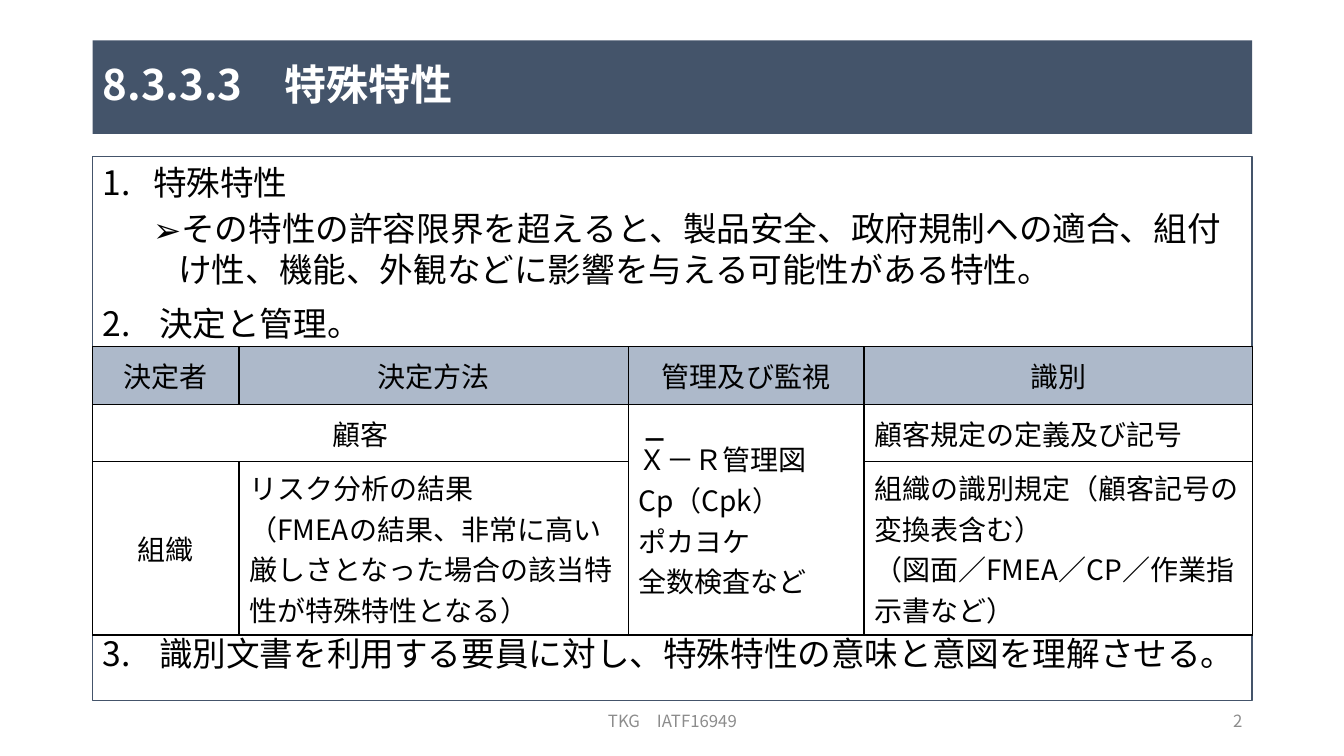
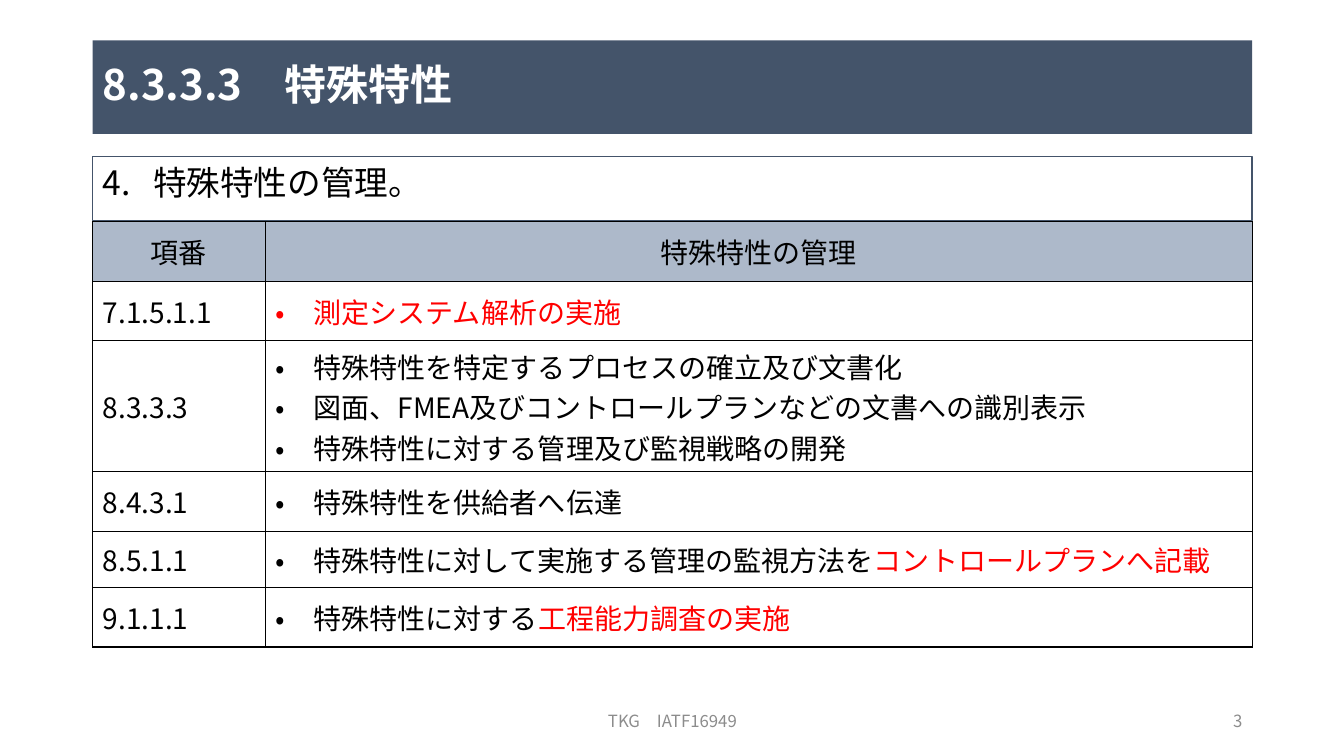
from dataclasses import dataclass
from lxml import etree
from pptx import Presentation
from pptx.dml.color import RGBColor as Rgb
from pptx.enum.shapes import MSO_SHAPE as Kind
from pptx.enum.text import MSO_ANCHOR as Anchor, PP_ALIGN as Align
from pptx.oxml.ns import qn
from pptx.util import Inches, Pt


@dataclass(frozen=True)
class Theme:
    font: str = "Noto Sans CJK JP"
    navy: str = "44546A"
    head: str = "ADB9CA"
    white: str = "FFFFFF"
    black: str = "000000"
    red: str = "FF0000"
    gray: str = "8C8C8C"
    title: int = 30
    body: int = 24
    cell: int = 20
    bar: int = 18
    foot: int = 12


T = Theme()
LEFT, WIDE = 0.92, 11.5
TITLE = "8.3.3.3　特殊特性"
FOOT = "TKG　IATF16949"

SLIDES = [
    {
        "number": 2,
        "height": 5.4,
        "start": 1,
        "items": [
            (0, 0.5, 0.5, 0, "", "特殊特性"),
            (1, 0.75, 0.25, 4, "➢", "その特性の許容限界を超えると、製品安全、政府規制への適合、"
             "組付け性、機能、外観などに影響を与える可能性がある特性。"),
            (0, 0.56, 0.56, 10, "", "決定と管理。"),
            (0, 0.56, 0.56, 207, "", "識別文書を利用する要員に対し、特殊特性の意味と意図を理解させる。"),
        ],
        "top": 3.44,
        "cols": [1.45, 3.86, 2.34, 3.85],
        "rows": [0.57, 0.57, 1.72],
        "cells": [
            ["決定者", "決定方法", "管理及び監視", "識別"],
            ["顧客", None, "Ｘ－Ｒ管理図\nCp（Cpk）\nポカヨケ\n全数検査など", "顧客規定の定義及び記号"],
            ["組織", "リスク分析の結果\n（FMEAの結果、非常に高い厳しさとなった場合の該当特性が特殊特性となる）",
             None, "組織の識別規定（顧客記号の変換表含む）\n（図面／FMEA／CP／作業指示書など）"],
        ],
        "merge": [((1, 0), (1, 1)), ((1, 2), (2, 2))],
        "center": [0],
        "dots": [],
        "bar": (6.27, 4.29, 0.4, 0.14),
    },
    {
        "number": 3,
        "height": 0.64,
        "start": 4,
        "items": [(0, 0.5, 0.5, 0, "", "特殊特性の管理。")],
        "top": 2.2,
        "cols": [1.71, 9.79],
        "rows": [0.59, 0.59, 1.3, 0.59, 0.56, 0.59],
        "cells": [
            ["項番", "特殊特性の管理"],
            ["7.1.5.1.1", "|測定システム解析の実施"],
            ["8.3.3.3", "特殊特性を特定するプロセスの確立及び文書化\n"
             "図面、FMEA及びコントロールプランなどの文書への識別表示\n"
             "特殊特性に対する管理及び監視戦略の開発"],
            ["8.4.3.1", "特殊特性を供給者へ伝達"],
            ["8.5.1.1", "特殊特性に対して実施する管理の監視方法を|コントロールプランへ記載"],
            ["9.1.1.1", "特殊特性に対する|工程能力調査の実施"],
        ],
        "merge": [],
        "center": [],
        "dots": [1],
        "bar": None,
    },
]


def style(run, size, color, bold=False):
    font = run.font
    font.size, font.bold, font.name = Pt(size), bold, T.font
    font.color.rgb = Rgb.from_string(color)
    east = etree.Element(qn("a:ea"), typeface=T.font)
    font._element.find(qn("a:latin")).addnext(east)


def write(para, text, size, color, bold=False, align=Align.LEFT):
    para.alignment = align
    for part, tone in zip(text.split("|"), (color, T.red)):
        if part:
            run = para.add_run()
            run.text = part
            style(run, size, tone, bold)


def mark(para, left, hang, char="", start=1):
    props = para._p.get_or_add_pPr()
    props.set("marL", str(Inches(left)))
    props.set("indent", str(-Inches(hang)))
    etree.SubElement(props, qn("a:buFont"), typeface=T.font)
    if char:
        etree.SubElement(props, qn("a:buChar"), char=char)
    else:
        num = etree.SubElement(props, qn("a:buAutoNum"), type="arabicPeriod")
        if start > 1:
            num.set("startAt", str(start))


def paras(frame, count):
    return [frame.paragraphs[0]] + [frame.add_paragraph() for _ in range(count - 1)]


def panel(slide, box, fill=None, line=None):
    shape = slide.shapes.add_shape(Kind.RECTANGLE, *map(Inches, box))
    shape.shadow.inherit = False
    if fill:
        shape.fill.solid()
        shape.fill.fore_color.rgb = Rgb.from_string(fill)
    else:
        shape.fill.background()
    if line:
        shape.line.color.rgb = Rgb.from_string(line)
        shape.line.width = Pt(1)
    else:
        shape.line.fill.background()
    shape.text_frame.word_wrap = True
    return shape.text_frame


def label(slide, box, text, size, color, align, bold=False):
    frame = slide.shapes.add_textbox(*map(Inches, box)).text_frame
    frame.word_wrap = True
    frame.vertical_anchor = Anchor.MIDDLE
    write(frame.paragraphs[0], text, size, color, bold, align)


def common(slide, number):
    frame = panel(slide, (LEFT, 0.4, WIDE, 0.93), fill=T.navy)
    frame.vertical_anchor = Anchor.MIDDLE
    para = frame.paragraphs[0]
    para.line_spacing = 0.9
    write(para, TITLE, T.title, T.white, True)
    label(slide, (4.42, 6.95, 4.5, 0.4), FOOT, T.foot, T.gray, Align.CENTER)
    label(slide, (9.42, 6.95, 3, 0.4), str(number), T.foot, T.gray, Align.RIGHT)


def body(slide, data):
    frame = panel(slide, (LEFT, 1.55, WIDE, data["height"]), line=T.navy)
    frame.vertical_anchor = Anchor.TOP
    frame.margin_top = Inches(0.06)
    items = data["items"]
    for para, (level, left, hang, gap, char, text) in zip(paras(frame, len(items)), items):
        para.level = level
        mark(para, left, hang, char, data["start"])
        if gap:
            para.space_before = Pt(gap)
        write(para, text, T.body, T.black)


def edge(cell):
    props = cell._tc.get_or_add_tcPr()
    for side in "LRTB":
        line = etree.SubElement(props, qn(f"a:ln{side}"), w=str(Pt(1)))
        fill = etree.SubElement(line, qn("a:solidFill"))
        etree.SubElement(fill, qn("a:srgbClr"), val=T.black)


def grid(slide, data):
    rows, cols = data["rows"], data["cols"]
    box = (LEFT, data["top"], WIDE, sum(rows))
    table = slide.shapes.add_table(len(rows), len(cols), *map(Inches, box)).table
    table.first_row = table.horz_banding = False
    for col, width in zip(table.columns, cols):
        col.width = Inches(width)
    for row, height in zip(table.rows, rows):
        row.height = Inches(height)
    for first, last in data["merge"]:
        table.cell(*first).merge(table.cell(*last))
    for r, texts in enumerate(data["cells"]):
        for c, text in enumerate(texts):
            cell = table.cell(r, c)
            edge(cell)
            cell.fill.solid()
            cell.fill.fore_color.rgb = Rgb.from_string(T.white if r else T.head)
            cell.vertical_anchor = Anchor.MIDDLE
            if text is None:
                continue
            lines = text.split("\n")
            mid = r == 0 or c in data["center"]
            for para, line in zip(paras(cell.text_frame, len(lines)), lines):
                if r and c in data["dots"]:
                    mark(para, 0.38, 0.38, "•")
                write(para, line, T.cell, T.black, align=Align.CENTER if mid else Align.LEFT)


def main():
    deck = Presentation()
    deck.slide_width, deck.slide_height = Inches(13.33), Inches(7.5)
    for data in SLIDES:
        slide = deck.slides.add_slide(deck.slide_layouts[6])
        body(slide, data)
        common(slide, data["number"])
        grid(slide, data)
        if data["bar"]:
            label(slide, data["bar"], "－", T.bar, T.black, Align.CENTER, True)
    deck.save("out.pptx")


if __name__ == "__main__":
    main()
